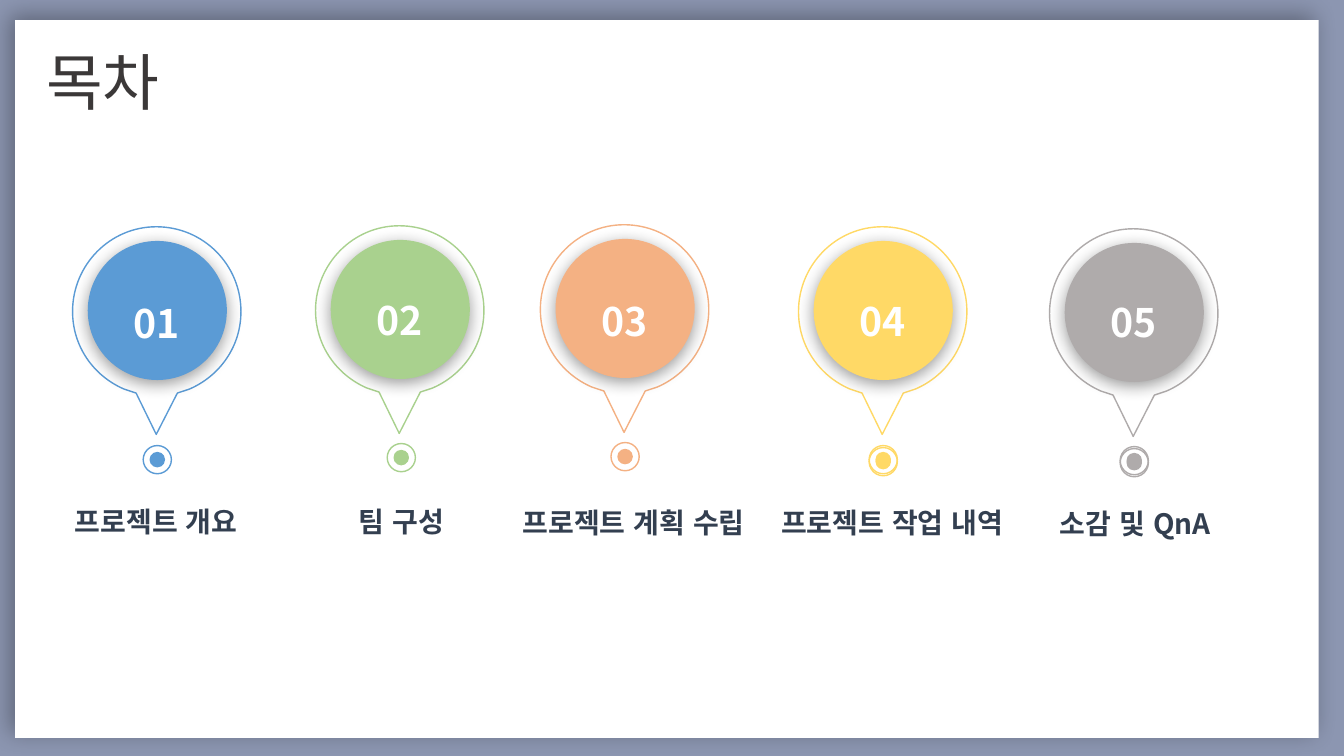
"""Builds the contents slide: five numbered map pins with captions."""
import collections
import itertools

import lxml.etree
import pptx
import pptx.dml.color
import pptx.enum.lang
import pptx.enum.shapes
import pptx.enum.text
import pptx.oxml.ns
import pptx.util

Inches = pptx.util.Inches
qn = pptx.oxml.ns.qn
Step = collections.namedtuple(
    "Step", "number caption color left top dot_x dot_heights number_y "
            "caption_left caption_top caption_width caption_height")

TITLE = "목차"
STEPS = [
    Step("01", "프로젝트 개요", "5B9BD5", 0.72, 2.25, 1.56, [4.56], 2.69, 0.45, 4.79, 2.2, 0.61),
    Step("02", "팀 구성", "A9D18E", 3.13, 2.24, 3.98, [4.54], 2.66, 2.88, 4.79, 2.2, 0.54),
    Step("03", "프로젝트 계획 수립", "F4B183", 5.36, 2.23, 6.2, [4.53], 2.67, 4.64, 4.8, 3.29, 0.61),
    Step("04", "프로젝트 작업 내역", "FFD966", 7.92, 2.25, 8.76, [4.58, 4.56], 2.67, 7.12, 4.8, 3.46, 0.61),
    Step("05", "소감 및 QnA", "AFABAB", 10.41, 2.27, 11.25, [4.59, 4.57], 2.68, 9.53, 4.81, 3.46, 0.54),
]
THEME = {
    "font": "Noto Sans CJK KR",
    "background": "8C96B1", "panel": "FFFFFF", "title": "3B3838",
    "number": "FFFFFF", "caption": "333F50", "shadow": "000000",
    "title_size": 44, "number_size": 28, "caption_size": 20,
}
PANEL_SHADOW = {"opacity": 31, "blur": 17, "distance": 5, "angle": 225}
DISC_SHADOW = {"opacity": 40, "blur": 12, "distance": 3, "angle": 90}

DISC_SIZE, RING_SIZE, DOT_SIZE = 1.38, 0.28, 0.14
DISC_INSET, NUMBER_INSET = 0.15, 0.23
PIN_OUTLINE = [
    [(0.83, 0)],
    [(1.3, 0), (1.67, 0.38), (1.67, 0.84)],
    [(1.67, 1.19), (1.46, 1.48), (1.16, 1.61)],
    [(1.04, 1.65)], [(0.83, 2.06)], [(0.63, 1.65)], [(0.51, 1.61)],
    [(0.21, 1.48), (0, 1.19), (0, 0.84)],
    [(0, 0.38), (0.37, 0), (0.83, 0)],
]
BOLT_OUTLINES = [
    [[(5.07, 1.94)], [(5.18, 1.94)], [(5.03, 2.38)],
     [(5.03, 2.39), (5.02, 2.4), (5.01, 2.41)],
     [(5, 2.42), (4.99, 2.42), (4.98, 2.42)], [(4.91, 2.42)]],
    [[(4.94, 2.19)], [(4.84, 2.19)], [(4.91, 1.98)],
     [(4.92, 1.97), (4.92, 1.96), (4.93, 1.95)],
     [(4.94, 1.94), (4.95, 1.94), (4.97, 1.94)], [(5.03, 1.94)]],
    [[(5.16, 2.1)], [(5.27, 2.1)], [(5.24, 2.16)],
     [(5.24, 2.17), (5.23, 2.18), (5.22, 2.18)],
     [(5.21, 2.19), (5.2, 2.19), (5.19, 2.19)], [(5.13, 2.19)]],
]


def rgb(color):
    return pptx.dml.color.RGBColor.from_string(color)


def paint(shape, fill=None, line=None):
    shape.shadow.inherit = False
    if fill:
        shape.fill.solid()
        shape.fill.fore_color.rgb = rgb(fill)
    else:
        shape.fill.background()
    if line:
        shape.line.color.rgb = rgb(line)
        shape.line.width = pptx.util.Pt(1)
    else:
        shape.line.fill.background()


def add_shadow(shape, opacity, blur, distance, angle):
    effects = shape._element.spPr.find(qn("a:effectLst"))
    shadow = lxml.etree.SubElement(
        effects, qn("a:outerShdw"), blurRad=str(pptx.util.Pt(blur)),
        dist=str(pptx.util.Pt(distance)), dir=str(angle * 60000), rotWithShape="0")
    color = lxml.etree.SubElement(shadow, qn("a:srgbClr"), val=THEME["shadow"])
    lxml.etree.SubElement(color, qn("a:alpha"), val=str(opacity * 1000))


def add_outline(shapes, segments, left=0, top=0, **style):
    points = [(Inches(left + x), Inches(top + y))
              for x, y in itertools.chain.from_iterable(segments)]
    builder = shapes.build_freeform(*points[0])
    builder.add_line_segments(points[1:], close=True)
    outline = builder.convert_to_shape()
    paint(outline, **style)
    lines = iter(list(outline._element.iter(qn("a:lnTo"))))
    for segment in segments[1:]:
        steps = list(itertools.islice(lines, len(segment)))
        if len(steps) == 3:
            curve = steps[0].makeelement(qn("a:cubicBezTo"))
            steps[0].addprevious(curve)
            for step in steps:
                curve.append(step[0])
                step.getparent().remove(step)


def add_circle(slide, left, top, size, **style):
    circle = slide.shapes.add_shape(
        pptx.enum.shapes.MSO_SHAPE.OVAL,
        Inches(left), Inches(top), Inches(size), Inches(size))
    paint(circle, **style)
    return circle


def add_text(slide, text, role, left, top, width, height, centered=True):
    box = slide.shapes.add_textbox(Inches(left), Inches(top), Inches(width), Inches(height))
    frame = box.text_frame
    frame.word_wrap = True
    paragraph = frame.paragraphs[0]
    if centered:
        frame.auto_size = pptx.enum.text.MSO_AUTO_SIZE.SHAPE_TO_FIT_TEXT
        paragraph.alignment = pptx.enum.text.PP_ALIGN.CENTER
        paragraph.line_spacing = 1.5
    else:
        frame.vertical_anchor = pptx.enum.text.MSO_ANCHOR.MIDDLE
    run = paragraph.add_run()
    run.text = text
    run.font.name = THEME["font"]
    run.font.size = pptx.util.Pt(THEME[role + "_size"])
    run.font.bold = centered
    run.font.color.rgb = rgb(THEME[role])
    run.font.language_id = pptx.enum.lang.MSO_LANGUAGE_ID.KOREAN
    lxml.etree.SubElement(run.font._element, qn("a:ea"), typeface=THEME["font"])


def add_step(slide, step):
    add_outline(slide.shapes, PIN_OUTLINE, step.left, step.top, line=step.color)
    disc = add_circle(slide, step.left + DISC_INSET, step.top + 0.14, DISC_SIZE,
                      fill=step.color)
    add_shadow(disc, **DISC_SHADOW)
    for height in step.dot_heights:
        add_circle(slide, step.dot_x - DOT_SIZE / 2, height - DOT_SIZE / 2, DOT_SIZE,
                   fill=step.color, line=step.color)
        add_circle(slide, step.dot_x - RING_SIZE / 2, height - RING_SIZE / 2, RING_SIZE,
                   line=step.color)
    add_text(slide, step.number, "number", step.left + NUMBER_INSET, step.number_y, 1.21, 0.72)
    add_text(slide, step.caption, "caption", step.caption_left, step.caption_top,
             step.caption_width, step.caption_height)


def main():
    deck = pptx.Presentation()
    deck.slide_width, deck.slide_height = Inches(13.33), Inches(7.5)
    slide = deck.slides.add_slide(deck.slide_layouts[6])
    slide.background.fill.solid()
    slide.background.fill.fore_color.rgb = rgb(THEME["background"])
    panel = slide.shapes.add_shape(
        pptx.enum.shapes.MSO_SHAPE.RECTANGLE,
        Inches(0.15), Inches(0.2), Inches(12.93), Inches(7.12))
    paint(panel, fill=THEME["panel"])
    add_shadow(panel, **PANEL_SHADOW)
    bolt = slide.shapes.add_group_shape()
    for segments in BOLT_OUTLINES:
        add_outline(bolt.shapes, segments, fill=THEME["panel"])
    add_text(slide, TITLE, "title", 0.36, 0.35, 3.22, 0.9, centered=False)
    for step in STEPS:
        add_step(slide, step)
    deck.save("out.pptx")


if __name__ == "__main__":
    main()
